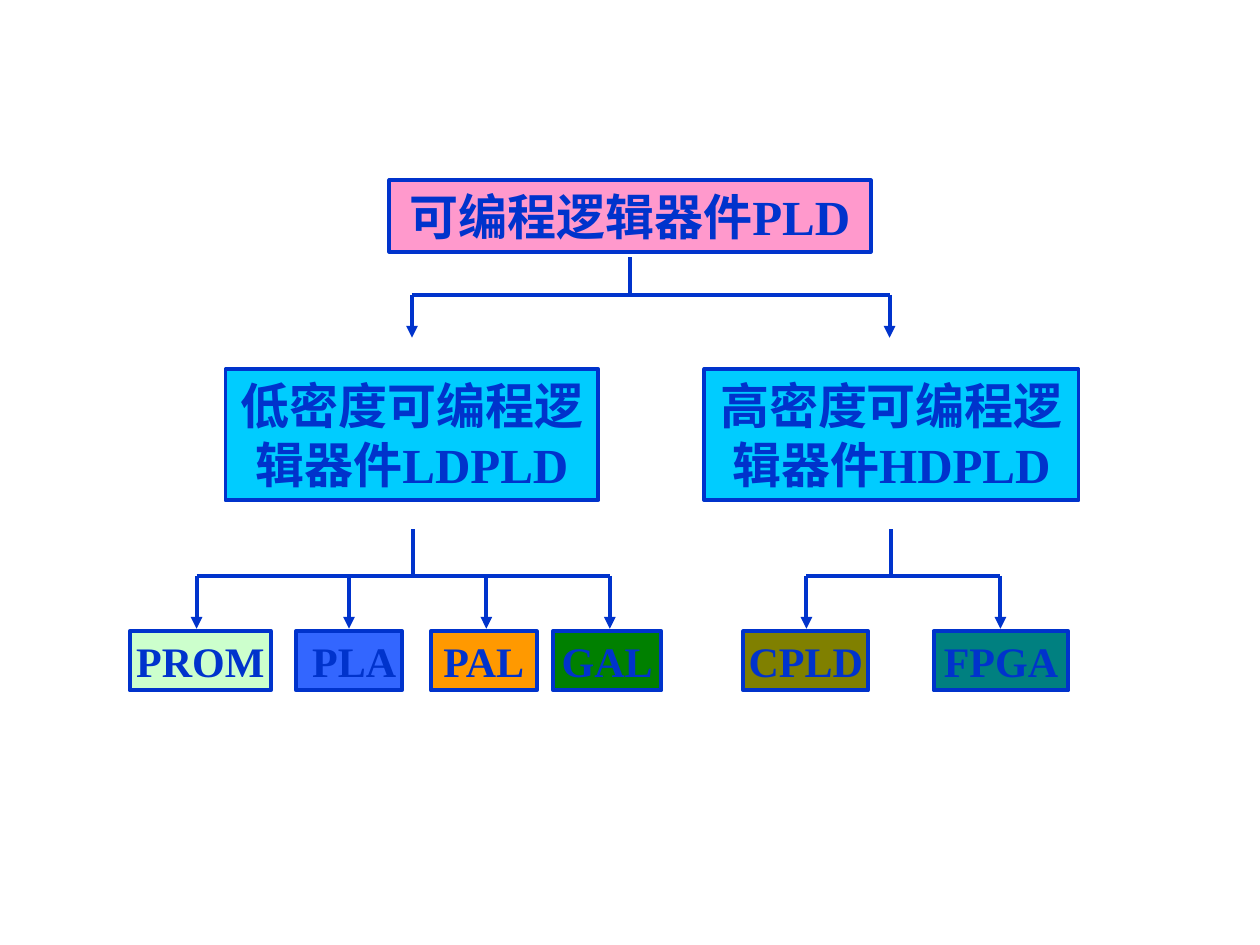
"""Build a slide with the family tree of programmable logic devices."""
import pptx
import pptx.dml.color
import pptx.enum.shapes
import pptx.enum.text
import pptx.oxml
import pptx.oxml.ns
import pptx.util

Inches = pptx.util.Inches
COLORS = {
    "ink": "0033CC", "pink": "FF99CC", "cyan": "00CCFF", "mint": "CCFFCC",
    "blue": "3366FF", "orange": "FF9900", "green": "008000",
    "olive": "808000", "teal": "008080",
}
FONT = "Times New Roman"
LINE_WIDTH = pptx.util.Pt(2.24)

LEVELS = [
    {"top": 1.43, "height": 0.57, "size": 28, "wrap": True, "devices": [
        ("可编程逻辑器件PLD", 3.09, 3.82, "pink")]},
    {"top": 2.93, "height": 1.04, "size": 28, "wrap": True, "devices": [
        ("低密度可编程逻辑器件LDPLD", 1.79, 2.96, "cyan"),
        ("高密度可编程逻辑器件HDPLD", 5.59, 2.97, "cyan")]},
    {"top": 5.01, "height": 0.47, "size": 24, "wrap": False, "devices": [
        ("PROM", 1.03, 1.12, "mint"),
        (" PLA", 2.35, 0.84, "blue"),
        ("PAL", 3.42, 0.84, "orange"),
        ("GAL", 4.39, 0.86, "green"),
        ("CPLD", 5.9, 0.99, "olive"),
        ("FPGA", 7.41, 1.07, "teal")]},
]
BRANCHES = [
    {"stem": 5, "top": 2.04, "bar": 2.34, "tip": 2.68, "drops": [3.27, 7.06]},
    {"stem": 3.28, "top": 4.2, "bar": 4.57, "tip": 4.99,
     "drops": [1.56, 2.77, 3.86, 4.84]},
    {"stem": 7.07, "top": 4.2, "bar": 4.57, "tip": 4.99, "drops": [6.4, 7.94]},
]


def rgb(name):
    return pptx.dml.color.RGBColor.from_string(COLORS[name])


def add_device(slide, level, name, left, width, color):
    device = slide.shapes.add_shape(
        pptx.enum.shapes.MSO_SHAPE.RECTANGLE, Inches(left), Inches(level["top"]),
        Inches(width), Inches(level["height"]))
    device.shadow.inherit = False
    device.fill.solid()
    device.fill.fore_color.rgb = rgb(color)
    device.line.color.rgb = rgb("ink")
    device.line.width = LINE_WIDTH
    frame = device.text_frame
    frame.word_wrap = level["wrap"]
    frame.vertical_anchor = pptx.enum.text.MSO_ANCHOR.MIDDLE
    label = frame.paragraphs[0]
    label.alignment = pptx.enum.text.PP_ALIGN.CENTER
    run = label.add_run()
    run.text = name
    run.font.name = FONT
    run.font.size = pptx.util.Pt(level["size"])
    run.font.bold = True
    run.font.color.rgb = rgb("ink")


def add_line(group, start, end, arrow=False):
    line = group.shapes.add_connector(
        pptx.enum.shapes.MSO_CONNECTOR.STRAIGHT,
        *[Inches(value) for value in start + end])
    line.line.color.rgb = rgb("ink")
    line.line.width = LINE_WIDTH
    if arrow:
        outline = line.line._get_or_add_ln()
        outline.append(pptx.oxml.parse_xml(
            f'<a:tailEnd {pptx.oxml.ns.nsdecls("a")} type="triangle"/>'))
    line._element.spPr.append(pptx.oxml.parse_xml(
        f'<a:effectLst {pptx.oxml.ns.nsdecls("a")}/>'))


def add_branch(slide, stem, top, bar, tip, drops):
    group = slide.shapes.add_group_shape()
    add_line(group, (drops[0], bar), (drops[-1], bar))
    add_line(group, (stem, top), (stem, bar))
    for drop in drops:
        add_line(group, (drop, bar), (drop, tip), arrow=True)


deck = pptx.Presentation()
deck.slide_width, deck.slide_height = Inches(10), Inches(7.5)
slide = deck.slides.add_slide(deck.slide_layouts[6])
for level in LEVELS:
    for device in level["devices"]:
        add_device(slide, level, *device)
for branch in BRANCHES:
    add_branch(slide, **branch)
deck.save("out.pptx")
